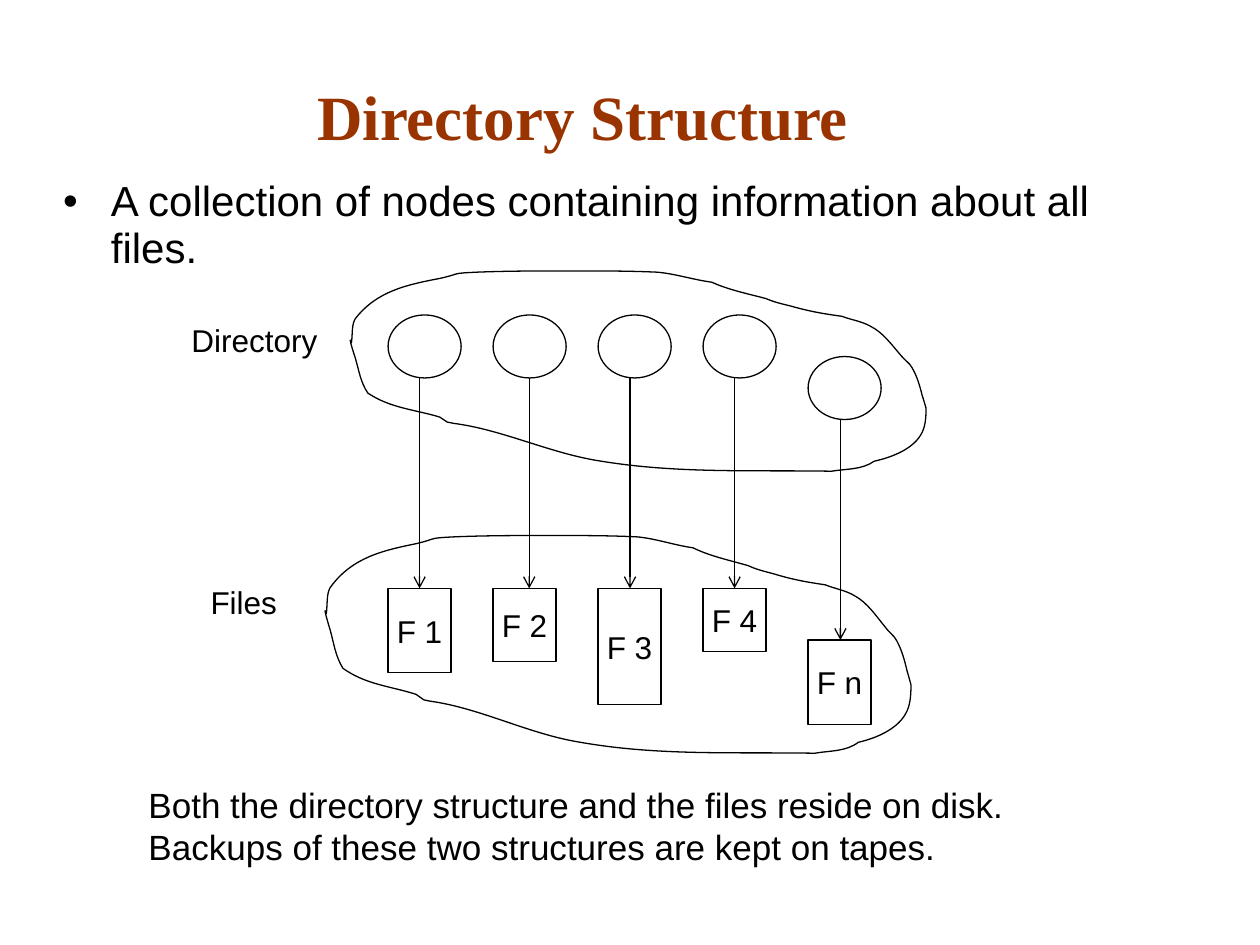
import pptx
import pptx.util
import pptx.dml.color
import pptx.enum.shapes
import pptx.enum.text
import pptx.oxml
import pptx.oxml.ns

Inches = pptx.util.Inches
Pt = pptx.util.Pt
qn = pptx.oxml.ns.qn
SHAPE = pptx.enum.shapes.MSO_SHAPE
ALIGN = pptx.enum.text.PP_ALIGN
ANCHOR = pptx.enum.text.MSO_ANCHOR
FIT = pptx.enum.text.MSO_AUTO_SIZE
BLACK = pptx.dml.color.RGBColor(0x00, 0x00, 0x00)
WHITE = pptx.dml.color.RGBColor(0xFF, 0xFF, 0xFF)
RUST = pptx.dml.color.RGBColor(0x99, 0x33, 0x00)

TITLE = "Directory Structure"
DEFINITION = "A collection of nodes containing information about all files."
STORAGE_NOTES = [
    "Both the directory structure and the files reside on disk.",
    "Backups of these two structures are kept on tapes.",
]
GROUP_LABELS = [
    ("Directory", (1.42, 2.5, 1.2, 0.4)),
    ("Files", (1.57, 4.58, 0.73, 0.4)),
]
FILES = [
    ("F 1", 2.5, 4.67, 0.67, 3.33),
    ("F 2", 2.5, 4.67, 0.58, 4.2),
    ("F 3", 2.5, 4.67, 0.92, 5),
    ("F 4", 2.5, 4.67, 0.5, 5.83),
    ("F n", 2.83, 5.08, 0.67, 6.67),
]
FIRST_COLUMN, COLUMN_STEP = 3.08, 5 / 6
NODE_WIDTH, NODE_HEIGHT, FILE_WIDTH = 0.58, 0.5, 0.5

DIRECTORY_AREA = (2.78, 2.15, 4.58, 1.61)
FILES_AREA = (2.58, 4.25, 4.66, 1.75)
OUTLINE_START = (2.79, 2.72)
OUTLINE_CURVES = [
    ((2.8, 2.65), (2.79, 2.58), (2.82, 2.53)),
    ((2.99, 2.31), (3.23, 2.26), (3.49, 2.21)),
    ((3.67, 2.17), (3.57, 2.17), (3.79, 2.16)),
    ((4.04, 2.15), (4.29, 2.15), (4.55, 2.15)),
    ((4.77, 2.15), (4.99, 2.15), (5.21, 2.16)),
    ((5.35, 2.17), (5.5, 2.22), (5.65, 2.24)),
    ((5.78, 2.3), (5.93, 2.33), (6.08, 2.37)),
    ((6.15, 2.4), (6.2, 2.41), (6.28, 2.43)),
    ((6.42, 2.47), (6.53, 2.49), (6.68, 2.51)),
    ((6.76, 2.54), (6.84, 2.55), (6.91, 2.59)),
    ((7.01, 2.64), (7.08, 2.74), (7.15, 2.82)),
    ((7.18, 2.86), (7.22, 2.88), (7.24, 2.92)),
    ((7.28, 2.99), (7.3, 3.06), (7.32, 3.14)),
    ((7.33, 3.17), (7.35, 3.24), (7.35, 3.24)),
    ((7.35, 3.28), (7.35, 3.37), (7.32, 3.43)),
    ((7.26, 3.56), (7.08, 3.63), (6.94, 3.66)),
    ((6.84, 3.73), (6.72, 3.72), (6.6, 3.74)),
    ((5.96, 3.73), (5.38, 3.76), (4.77, 3.66)),
    ((4.37, 3.6), (3.99, 3.41), (3.6, 3.36)),
    ((3.58, 3.36), (3.57, 3.35), (3.55, 3.35)),
    ((3.53, 3.34), (3.51, 3.32), (3.49, 3.31)),
    ((3.29, 3.25), (3.1, 3.24), (2.92, 3.12)),
    ((2.86, 3.03), (2.85, 2.94), (2.82, 2.84)),
    ((2.82, 2.84), (2.78, 2.72), (2.78, 2.7)),
    ((2.78, 2.69), (2.79, 2.71), (2.79, 2.72)),
]


def box(area):
    return [Inches(length) for length in area]


def write(frame, lines, size, align=ALIGN.LEFT, wrap=True, anchor=ANCHOR.TOP):
    frame.text = "\n".join(lines)
    frame.word_wrap = wrap
    frame.vertical_anchor = anchor
    for paragraph in frame.paragraphs:
        paragraph.alignment = align
        for run in paragraph.runs:
            run.font.size = Pt(size)
            run.font.name = "Arial"
            run.font.color.rgb = BLACK


def outline(line):
    line.color.rgb = BLACK
    line.width = Pt(0.75)


def add_solid(slide, kind, area):
    solid = slide.shapes.add_shape(kind, *box(area))
    solid.shadow.inherit = False
    solid.fill.solid()
    solid.fill.fore_color.rgb = WHITE
    outline(solid.line)
    return solid


def add_arrow(slide, x, top, bottom):
    arrow = slide.shapes.add_connector(
        pptx.enum.shapes.MSO_CONNECTOR.STRAIGHT, *box((x, top, x, bottom)))
    outline(arrow.line)
    properties = arrow.line._get_or_add_ln()
    properties.append(properties.makeelement(qn("a:tailEnd"), {"type": "arrow"}))
    properties.getparent().append(properties.makeelement(qn("a:effectLst"), {}))


def bend_segments(cloud):
    segments = list(cloud._element.iter(qn("a:lnTo")))
    for first in range(0, len(segments), 3):
        triple = segments[first:first + 3]
        curve = triple[0].makeelement(qn("a:cubicBezTo"), {})
        triple[0].addprevious(curve)
        for segment in triple:
            curve.append(segment[0])
            segment.getparent().remove(segment)


def add_cloud(slide, area):
    def place(point):
        return tuple(
            Inches(area[i] + (point[i] - DIRECTORY_AREA[i])
                   * area[i + 2] / DIRECTORY_AREA[i + 2])
            for i in (0, 1))

    builder = slide.shapes.build_freeform(*place(OUTLINE_START))
    builder.add_line_segments(
        [place(point) for curve in OUTLINE_CURVES for point in curve], close=True)
    cloud = builder.convert_to_shape()
    bend_segments(cloud)
    cloud.shadow.inherit = False
    cloud.fill.background()
    outline(cloud.line)


def add_title(slide):
    title = slide.shapes.title
    title.left, title.top, title.width, title.height = box((0.25, 0.03, 9, 1.25))
    frame = title.text_frame
    write(frame, [TITLE], 36, ALIGN.CENTER, anchor=ANCHOR.BOTTOM)
    frame.auto_size = FIT.NONE
    frame.margin_right = Inches(0.35)
    heading = frame.paragraphs[0]
    heading.line_spacing = 0.93
    font = heading.runs[0].font
    font.name = "Times New Roman"
    font.bold = True
    font.color.rgb = RUST


def add_definition(slide):
    frame = slide.shapes.add_textbox(*box((0.5, 1.42, 8.75, 0.42))).text_frame
    write(frame, [DEFINITION], 24)
    frame.margin_left = frame.margin_right = 0
    frame.margin_top = frame.margin_bottom = 0
    definition = frame.paragraphs[0]
    definition.line_spacing = 0.93
    properties = definition._p.get_or_add_pPr()
    properties.set("marL", str(Inches(0.38)))
    properties.set("indent", str(-Inches(0.38)))
    for tag, attributes in (("a:buFont", {"typeface": "Arial"}),
                            ("a:buChar", {"char": "•"})):
        properties.append(properties.makeelement(qn(tag), attributes))


def main():
    deck = pptx.Presentation()
    deck.slide_width, deck.slide_height = Inches(10), Inches(7.5)
    slide = deck.slides.add_slide(deck.slide_layouts[5])
    add_title(slide)
    add_definition(slide)

    for column, (name, node_top, file_top, height, arrow_x) in enumerate(FILES):
        left = FIRST_COLUMN + column * COLUMN_STEP
        add_solid(slide, SHAPE.OVAL, (left, node_top, NODE_WIDTH, NODE_HEIGHT))
        card = add_solid(slide, SHAPE.RECTANGLE, (left, file_top, FILE_WIDTH, height))
        write(card.text_frame, [name], 18, ALIGN.CENTER, False, ANCHOR.MIDDLE)
        add_arrow(slide, arrow_x, node_top + NODE_HEIGHT, file_top)

    for area in (DIRECTORY_AREA, FILES_AREA):
        add_cloud(slide, area)

    for label, area in GROUP_LABELS:
        frame = slide.shapes.add_textbox(*box(area)).text_frame
        write(frame, [label], 18, ALIGN.CENTER, False, ANCHOR.MIDDLE)
        frame.auto_size = FIT.SHAPE_TO_FIT_TEXT

    notes = slide.shapes.add_textbox(*box((1.08, 6.17, 7.69, 0.42)))
    write(notes.text_frame, STORAGE_NOTES, 20)
    deck.save("out.pptx")


if __name__ == "__main__":
    main()
